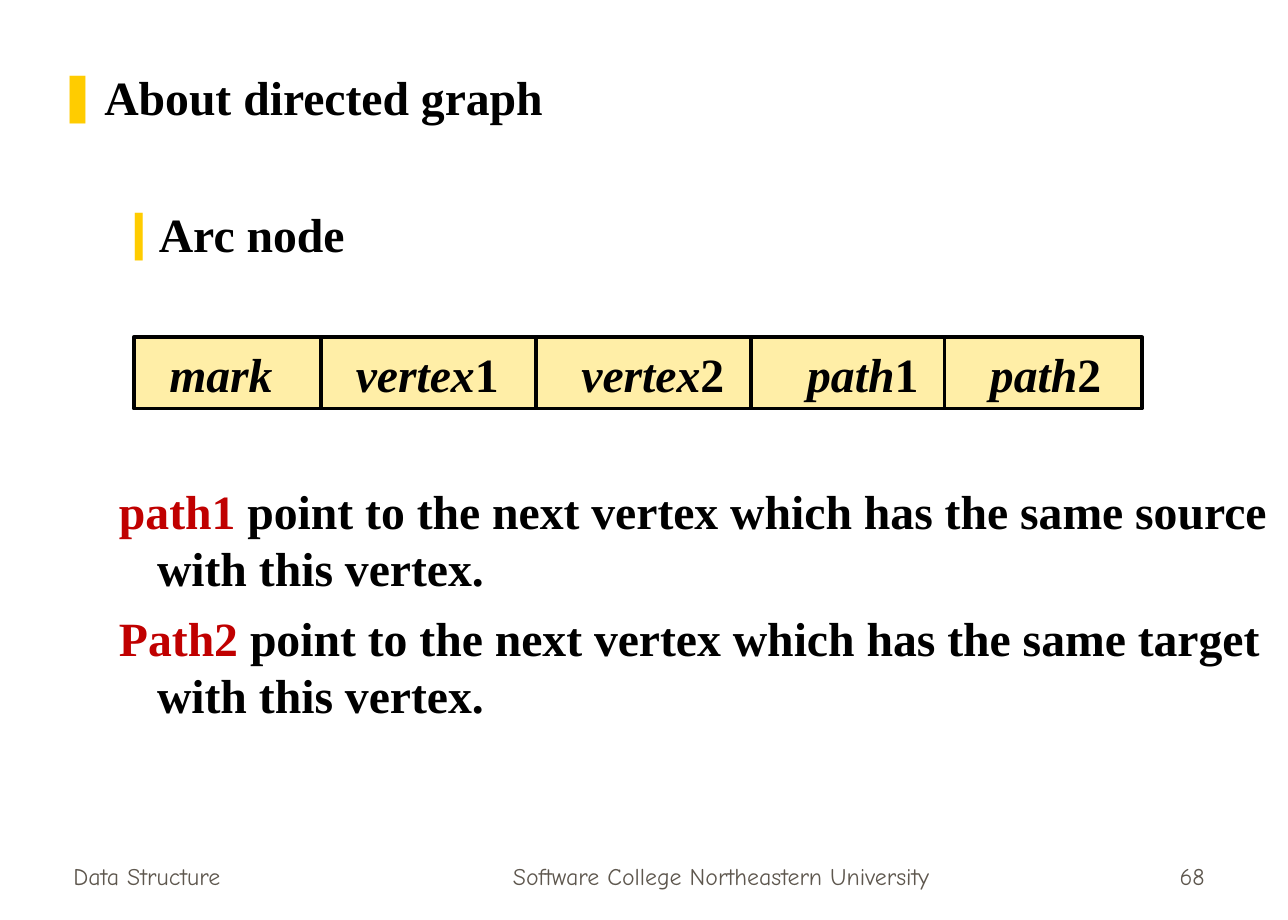
from lxml.etree import SubElement
from pptx import Presentation
from pptx.dml.color import RGBColor
from pptx.enum.shapes import MSO_CONNECTOR, MSO_SHAPE
from pptx.enum.text import MSO_ANCHOR as Anchor, MSO_AUTO_SIZE, PP_ALIGN as Align
from pptx.oxml.ns import qn
from pptx.util import Pt

# Content
COLORS = {"ink": "000000", "footer": "5E574E", "accent": "FFCC00",
          "term": "C00000", "cell": "FFEEA7"}
SERIF, CASUAL = "Times New Roman", "Comic Neue"

# level, bullet, space before (pt), runs of (text, color)
BODY = [
    (0, "❚", 0, [("About directed graph", "ink")]),
    (1, "❙", 47, [("Arc node", "ink")]),
    (1, None, 129, [("path1 ", "term"),
                    ("point to the next vertex which has the same source with this vertex.", "ink")]),
    (1, None, 7, [("Path2 ", "term"),
                  ("point to the next vertex which has the same target with this vertex.", "ink")]),
]
INDENTS = [(38, -38), (81, -31)]  # left margin, first line, by level

# name, number, text start
FIELDS = [("mark", "", 138), ("vertex", "1", 290), ("vertex", "2", 474),
          ("path", "1", 658), ("path", "2", 807)]
DIVIDERS = [262, 437, 612, 770]
NODE = (109, 275, 822, 58)

# text, left, width, alignment
FOOTERS = [("Data Structure", 50, 219, Align.LEFT),
           ("Software College Northeastern University", 359, 458, Align.CENTER),
           ("68", 773, 219, Align.RIGHT)]

EMU_PER_PX = 9144  # 100 px to the inch


def px(*lengths):
    return [length * EMU_PER_PX for length in lengths]


def rgb(name):
    return RGBColor.from_string(COLORS[name])


def set_font(font, name, size, color, bold=False):
    font.name, font.size, font.bold = name, Pt(size), bold
    font.color.rgb = rgb(color)


def set_bullet(para, bullet):
    props = para._p.get_or_add_pPr()
    if bullet is None:
        SubElement(props, qn("a:buNone"))
        return
    color = SubElement(props, qn("a:buClr"))
    SubElement(color, qn("a:srgbClr"), val=COLORS["accent"])
    SubElement(props, qn("a:buChar"), char=bullet)


deck = Presentation()
deck.slide_width, deck.slide_height = px(1050, 750)
page = deck.slides.add_slide(deck.slide_layouts[1])
title = page.shapes.title
title._element.getparent().remove(title._element)

# Footers
for text, left, width, align in FOOTERS:
    box = page.shapes.add_textbox(*px(left, 681, width, 50))
    box.text_frame.word_wrap = True
    box.text_frame.vertical_anchor = Anchor.BOTTOM
    para = box.text_frame.paragraphs[0]
    para.text, para.alignment = text, align
    set_font(para.font, CASUAL, 14, "footer")

# Body list
body = page.placeholders[1]
body.left, body.top, body.width, body.height = px(37, 50, 1013, 598)
frame = body.text_frame
frame.auto_size = MSO_AUTO_SIZE.NONE
for index, (level, bullet, before, runs) in enumerate(BODY):
    para = frame.add_paragraph() if index else frame.paragraphs[0]
    para.level = level
    margin, first = px(*INDENTS[level])
    props = para._p.get_or_add_pPr()
    props.set("marL", str(margin))
    props.set("indent", str(first))
    set_bullet(para, bullet)
    para.space_before = Pt(before)
    for text, color in runs:
        span = para.add_run()
        span.text = text
        set_font(span.font, SERIF, 28, color, bold=True)

# Arc node: one box, its fields set at tab stops
left, top, width, height = NODE
node = page.shapes.add_shape(MSO_SHAPE.RECTANGLE, *px(*NODE))
node.shadow.inherit = False
node.fill.solid()
node.fill.fore_color.rgb = rgb("cell")
node.line.color.rgb, node.line.width = rgb("ink"), Pt(2.25)
frame = node.text_frame
frame.word_wrap, frame.vertical_anchor = True, Anchor.MIDDLE
text_left = FIELDS[0][2]
frame.margin_left, frame.margin_right = px(text_left - left, 0)
para = frame.paragraphs[0]
para.alignment = Align.LEFT
tabs = SubElement(para._p.get_or_add_pPr(), qn("a:tabLst"))
for name, number, start in FIELDS:
    if start > text_left:
        SubElement(tabs, qn("a:tab"), pos=str(*px(start - text_left)), algn="l")
        name = "\t" + name
    for text, italic in ((name, True), (number, False)):
        if text:
            span = para.add_run()
            span.text = text
            set_font(span.font, SERIF, 28, "ink", bold=True)
            span.font.italic = italic

# Dividers between the fields
for x in DIVIDERS:
    divider = page.shapes.add_connector(MSO_CONNECTOR.STRAIGHT, *px(x, top, x, top + height))
    divider.line.color.rgb, divider.line.width = rgb("ink"), Pt(2.25)
    SubElement(divider._element.spPr, qn("a:effectLst"))

deck.save("out.pptx")
